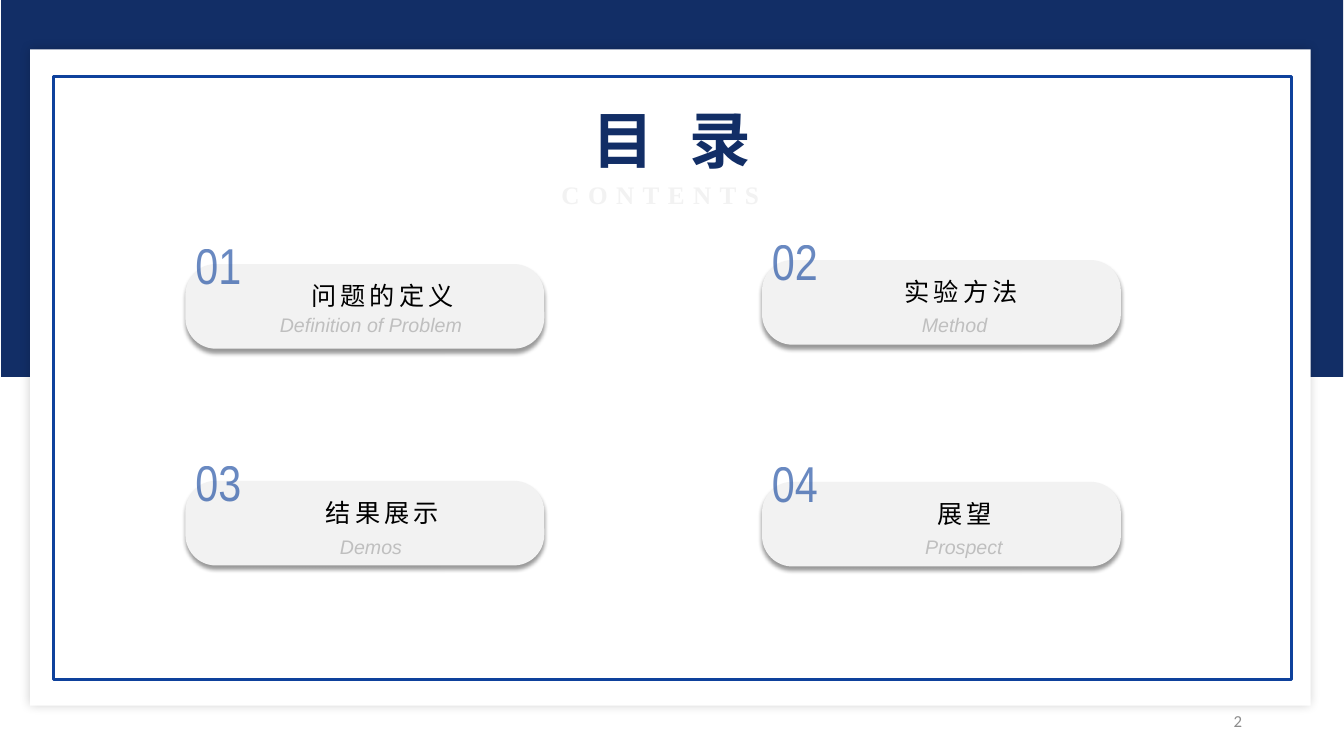
from lxml import etree
from pptx import Presentation, util as u
from pptx.dml.color import RGBColor
from pptx.enum import shapes, text
from pptx.oxml import ns

NAVY = RGBColor(0x12, 0x2E, 0x66)
BLUE = RGBColor(0x0E, 0x41, 0x9C)
WHITE = RGBColor(0xFF, 0xFF, 0xFF)
BLACK = RGBColor(0x00, 0x00, 0x00)
PALE = RGBColor(0xF2, 0xF2, 0xF2)
SILVER = RGBColor(0xBF, 0xBF, 0xBF)
GREY = RGBColor(0x8C, 0x8C, 0x8C)

presentation = Presentation()
presentation.slide_width = u.Inches(13.33)
presentation.slide_height = u.Inches(7.5)
slide = presentation.slides.add_slide(presentation.slide_layouts[6])

# Every position and size is a percentage of the slide's width or height
COLUMN = presentation.slide_width / 100
ROW = presentation.slide_height / 100


def add_box(parent, kind, left, top, width, height, fill, shadow=None):
    shape = parent.shapes.add_shape(kind, int(left * COLUMN), int(top * ROW),
                                    int(width * COLUMN), int(height * ROW))
    shape.fill.solid()
    shape.fill.fore_color.rgb = fill
    shape.line.fill.background()
    shape.shadow.inherit = False
    if shadow:
        opacity, blur, distance, angle = shadow
        effects = shape.element.spPr.find(ns.qn("a:effectLst"))
        outer = etree.SubElement(effects, ns.qn("a:outerShdw"), blurRad=str(u.Pt(blur)),
                                 dist=str(u.Pt(distance)), dir=str(angle * 60000),
                                 algn="ctr", rotWithShape="0")
        color = etree.SubElement(outer, ns.qn("a:srgbClr"), val="000000")
        etree.SubElement(color, ns.qn("a:alpha"), val=str(opacity * 1000))
    return shape


def add_label(parent, words, left, top, width, height, size, color, font="Arial",
              align=text.PP_ALIGN.CENTER, wrap=True, spacing=0):
    label = parent.shapes.add_textbox(int(left * COLUMN), int(top * ROW),
                                      int(width * COLUMN), int(height * ROW))
    label.text_frame.text = words
    label.text_frame.word_wrap = wrap
    label.text_frame.auto_size = text.MSO_AUTO_SIZE.SHAPE_TO_FIT_TEXT
    paragraph = label.text_frame.paragraphs[0]
    paragraph.alignment = align
    run = paragraph.runs[0]
    run.font.name = font
    run.font.size = u.Pt(size)
    run.font.color.rgb = color
    if spacing:
        run.font._element.set("spc", str(spacing * 100))
    return label


# Navy band, white panel and thin frame
RECTANGLE = shapes.MSO_SHAPE.RECTANGLE
add_box(slide, RECTANGLE, 0.08, 0, 99.85, 49.87, NAVY)
add_box(slide, RECTANGLE, 2.25, 6.53, 95.27, 86.8, WHITE, (20, 8, 0, 0))
frame = add_box(slide, RECTANGLE, 3.98, 10.13, 92.12, 79.73, WHITE)
frame.line.color.rgb = BLUE
frame.line.width = u.Pt(1.75)

# Title and faint subtitle
title = add_label(slide, "目录", 41.86, 12.8, 16.28, 11.2, 44, NAVY, wrap=False, spacing=25)
subtitle = add_label(slide, "CONTENTS", 37.5, 23.07, 23.25, 5.3, 18, PALE,
                     font="Times New Roman", spacing=6)
for heading in (title, subtitle):
    heading.text_frame.paragraphs[0].runs[0].font.bold = True

# Four cards: number, topic, translation, card left and top,
# topic offset from the card, translation left and top
CARDS = [
    ("01", "问题的定义", "Definition of Problem", 13.8, 34.93, 8.1, 18.08, 40.8),
    ("03", "结果展示", "Demos", 13.8, 63.6, 8.1, 18.08, 70.13),
    ("02", "实验方法", "Method", 56.7, 34.4, 8.25, 61.5, 40.8),
    ("04", "展望", "Prospect", 56.7, 63.73, 8.5, 62.2, 70.13),
]
for number, topic, translation, left, top, offset, note_left, note_top in CARDS:
    group = slide.shapes.add_group_shape()
    card = add_box(group, shapes.MSO_SHAPE.ROUNDED_RECTANGLE, left, top, 26.7, 11.2,
                   PALE, (40, 3, 3, 90))
    card.adjustments[0] = 0.36
    digits = add_label(group, number, left, top - 4.6, 5.6, 9.5, 36, BLUE,
                       font="Arial Narrow", align=text.PP_ALIGN.LEFT, wrap=False)
    digit_color = digits.element.find(".//" + ns.qn("a:srgbClr"))
    etree.SubElement(digit_color, ns.qn("a:alpha"), val="62000")
    add_label(group, topic, left + offset, top + 1.55, 13.13, 5.3, 18, BLACK, spacing=3)
    note = add_label(slide, translation, note_left, note_top, 19.05, 4.5, 14, SILVER)
    note.text_frame.paragraphs[0].runs[0].font.italic = True

# Slide number
page = add_label(slide, "2", 70.67, 92.67, 22.5, 5.33, 12, GREY, font="Calibri",
                 align=text.PP_ALIGN.RIGHT)
page.text_frame.auto_size = text.MSO_AUTO_SIZE.NONE
page.text_frame.vertical_anchor = text.MSO_ANCHOR.MIDDLE

presentation.save("out.pptx")
